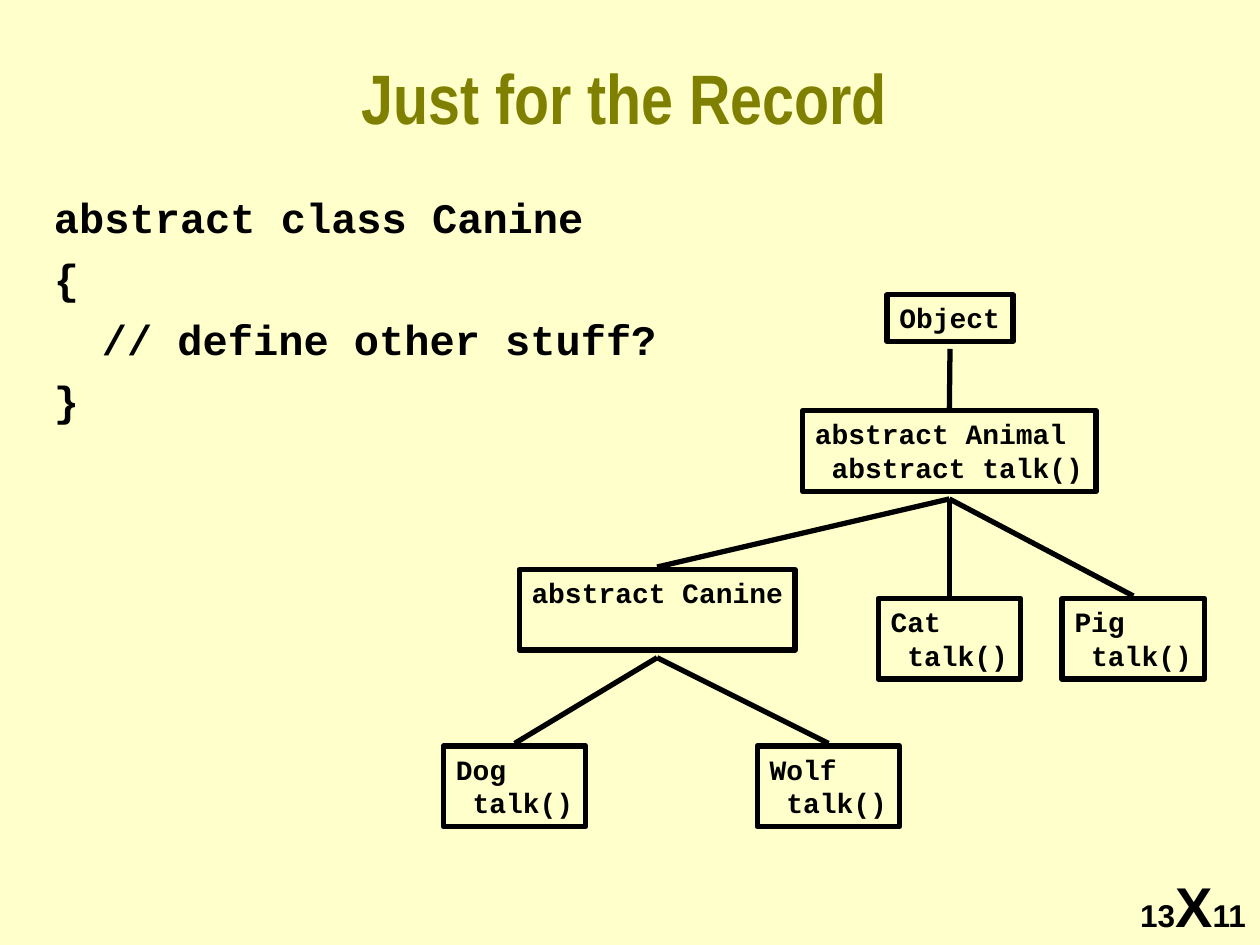
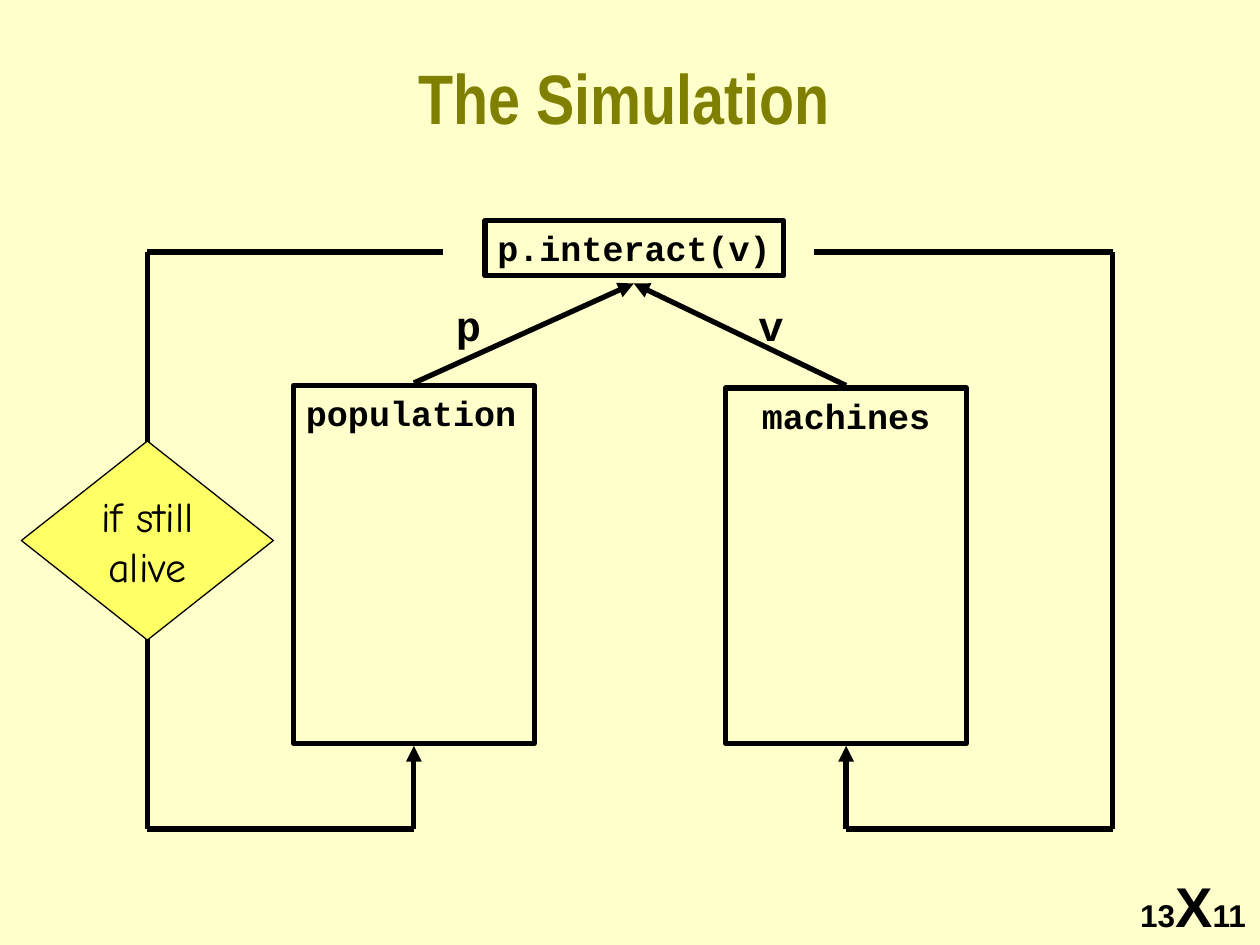
from lxml import etree
from pptx import Presentation
from pptx import util as u
from pptx.dml.color import RGBColor
from pptx.enum import shapes, text
from pptx.oxml import ns

COLORS = {"paper": "FFFFCC", "heading": "808000", "ink": "000000", "decision": "FFFF66"}
CODE_FONT = "Courier New"
RULE = 3
TITLE_ONLY = 5

CLASSES = {
    "Object": (3.52, 0, 1, 0.37, ["Object"]),
    "Animal": (2.85, 0.92, 2.33, 0.64, ["abstract Animal", " abstract talk()"]),
    "Canine": (0.6, 2.18, 2.19, 0.64, ["abstract Canine"]),
    "Cat": (3.45, 2.41, 1.13, 0.64, ["Cat", " talk()"]),
    "Pig": (4.91, 2.41, 1.13, 0.64, ["Pig", " talk()"]),
    "Dog": (0, 3.58, 1.13, 0.64, ["Dog", " talk()"]),
    "Wolf": (2.49, 3.58, 1.13, 0.64, ["Wolf", " talk()"]),
}
CHILDREN = {"Object": ["Animal"], "Animal": ["Canine", "Cat", "Pig"], "Canine": ["Dog", "Wolf"]}


def rgb(name):
    """Return a palette colour."""
    return RGBColor.from_string(COLORS[name])


def style(paragraph, size, font=CODE_FONT, color="ink", bold=True, align=text.PP_ALIGN.LEFT):
    """Format a whole paragraph."""
    paragraph.alignment = align
    paragraph.font.size = u.Pt(size)
    paragraph.font.name = font
    paragraph.font.bold = bold
    paragraph.font.color.rgb = rgb(color)


def write(frame, lines, size, anchor=text.MSO_ANCHOR.TOP, **look):
    """Fill an unwrapped text frame with equally styled lines."""
    frame.word_wrap = False
    frame.vertical_anchor = anchor
    frame.text = "\n".join(lines)
    for paragraph in frame.paragraphs:
        style(paragraph, size, **look)


def add_label(slide, box, lines, size):
    """Add a plain code text box and return its frame."""
    frame = slide.shapes.add_textbox(*map(u.Inches, box)).text_frame
    write(frame, lines, size)
    return frame


def add_node(slide, box, lines, size, kind=shapes.MSO_SHAPE.RECTANGLE, fill=None, width=RULE, **look):
    """Add an outlined shape with text."""
    node = slide.shapes.add_shape(kind, *map(u.Inches, box))
    node.shadow.inherit = False
    if fill:
        node.fill.solid()
        node.fill.fore_color.rgb = rgb(fill)
    else:
        node.fill.background()
    node.line.color.rgb = rgb("ink")
    node.line.width = u.Pt(width)
    write(node.text_frame, lines, size, **look)


def add_line(slide, start, end, arrow=False):
    """Draw a straight line, optionally with an arrowhead at its end."""
    line = slide.shapes.add_connector(
        shapes.MSO_CONNECTOR.STRAIGHT, *map(u.Inches, (*start, *end)))
    line.line.color.rgb = rgb("ink")
    line.line.width = u.Pt(RULE)
    if arrow:
        etree.SubElement(line.line._get_or_add_ln(), ns.qn("a:tailEnd"), type="triangle")
    etree.SubElement(line._element.spPr, ns.qn("a:effectLst"))


def add_footer(slide, left, top):
    """Add the lecture number and page mark."""
    frame = add_label(slide, (left, top, 1.05, 0.64), [""], 18)
    mark = frame.paragraphs[0]
    style(mark, 18, font="Arial")
    for part, size in (("13", 18), ("X", 32), ("11", 18)):
        run = mark.add_run()
        run.text = part
        run.font.size = u.Pt(size)


def add_slide(prs, heading):
    """Add a slide with the shared background, title and footer."""
    slide = prs.slides.add_slide(prs.slide_layouts[TITLE_ONLY])
    slide.background.fill.solid()
    slide.background.fill.fore_color.rgb = rgb("paper")
    title = slide.shapes.title
    title.left, title.top, title.width, title.height = map(u.Inches, (0.33, 0.33, 9.25, 0.87))
    write(title.text_frame, [heading], 40, anchor=text.MSO_ANCHOR.MIDDLE,
          font="Arial Narrow", color="heading", align=text.PP_ALIGN.CENTER)
    title.text_frame.word_wrap = True
    title.text_frame.auto_size = text.MSO_AUTO_SIZE.NONE
    add_footer(slide, 8.95, 6.87)
    return slide


def add_code(slide, box):
    """Add the class listing with an indented body line."""
    lines = ["abstract class Canine", "{", "// define other stuff?", "}"]
    frame = add_label(slide, box, lines, 24)
    frame.word_wrap = True
    for paragraph in frame.paragraphs[1:]:
        paragraph.space_before = u.Pt(6)
    frame.paragraphs[2]._p.get_or_add_pPr().set("marL", str(u.Inches(0.38)))


def add_class_tree(slide, left, top):
    """Draw the class boxes and join each parent to its children."""
    for x, y, width, height, lines in CLASSES.values():
        add_node(slide, (left + x, top + y, width, height), lines, 16)
    for parent, children in CHILDREN.items():
        x, y, width, height, _ = CLASSES[parent]
        start = left + x + width / 2, top + y + height + 0.06
        for child in children:
            x, y, width, _, _ = CLASSES[child]
            add_line(slide, start, (left + x + width / 2, top + y - 0.02))


def add_loop(slide, outer, inner, store, top, bottom, store_bottom):
    """Draw the path from the interaction back up into a store."""
    add_line(slide, (inner, top), (outer, top))
    add_line(slide, (outer, top), (outer, bottom))
    add_line(slide, (outer, bottom), (store, bottom))
    add_line(slide, (store, bottom), (store, store_bottom), arrow=True)


def add_simulation(slide, left, top):
    """Draw both stores, their interaction and the return loops."""
    center = text.PP_ALIGN.CENTER
    add_node(slide, (left + 3.68, top, 2.37, 0.44), ["p.interact(v)"], 20)
    meeting = left + 4.86, top + 0.5
    stores = [
        ("population", "p", 2.16, 1.31, 3.35, 1, 3.35, text.PP_ALIGN.LEFT),
        ("machines", "v", 5.59, 1.33, 5.75, 8.66, 6.29, center),
    ]
    for name, variable, x, y, label, outer, inner, align in stores:
        middle = left + x + 1.91 / 2
        add_node(slide, (left + x, top + y, 1.91, 4.15 - y), [name], 20, align=align)
        add_line(slide, (middle, top + y - 0.02), meeting, arrow=True)
        add_label(slide, (left + label, top + 0.58, 0.4, 0.5), [variable], 24)
        add_loop(slide, left + outer, left + inner, middle, top + 0.25, top + 4.83, top + 4.17)
    add_node(slide, (left, top + 1.75, 2, 1.58), ["if still", "alive"], 24,
             kind=shapes.MSO_SHAPE.FLOWCHART_DECISION, fill="decision", width=0.75,
             anchor=text.MSO_ANCHOR.MIDDLE, font="Comic Neue", bold=False, align=center)


def main():
    """Build and save the two slides."""
    prs = Presentation()
    prs.slide_width, prs.slide_height = u.Inches(10), u.Inches(7.5)
    record = add_slide(prs, "Just for the Record")
    add_code(record, (0.33, 1.47, 9.25, 5.69))
    add_class_tree(record, 3.52, 2.34)
    add_simulation(add_slide(prs, "The Simulation"), 0.17, 1.75)
    prs.save("out.pptx")


if __name__ == "__main__":
    main()
